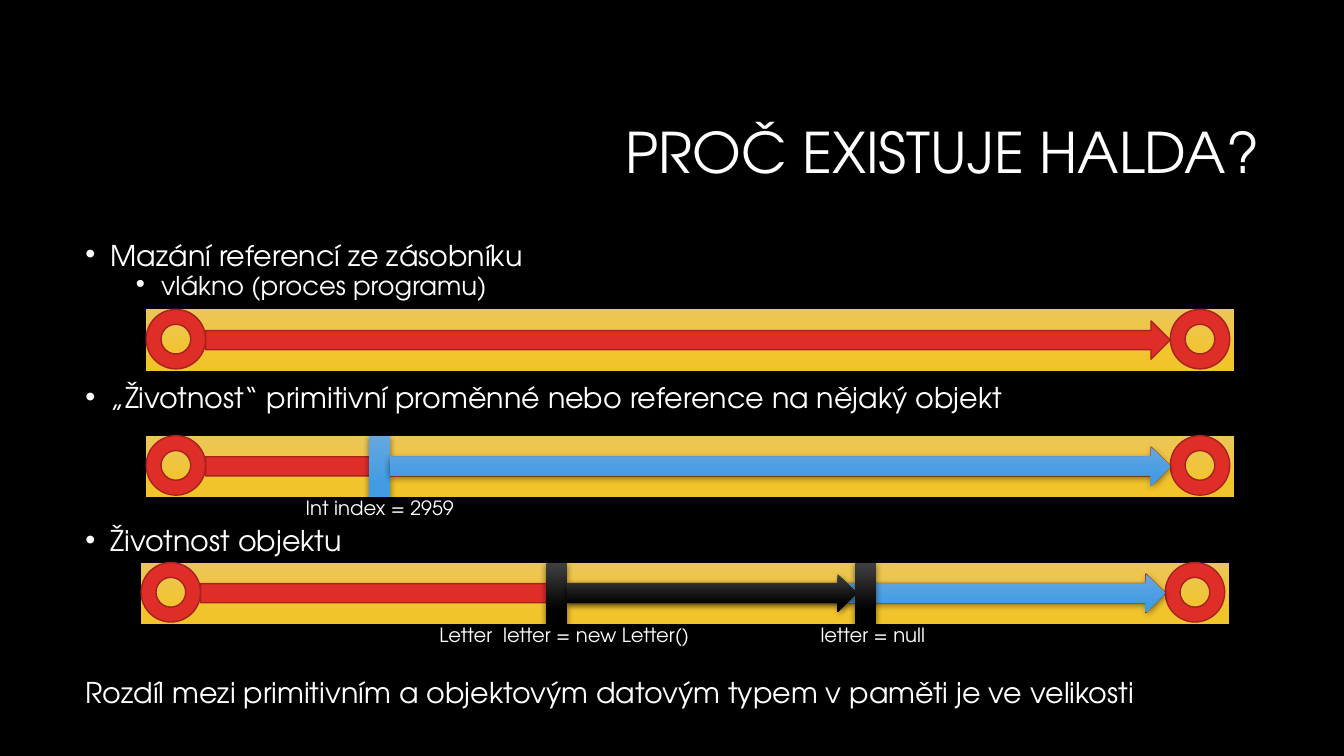
"""Builds the slide on why the heap exists, with three lifetime timelines."""
from lxml.etree import SubElement
from pptx import Presentation
from pptx.dml.color import RGBColor
from pptx.enum.shapes import MSO_SHAPE as SHAPE
from pptx.enum.text import MSO_ANCHOR as ANCHOR, PP_ALIGN as ALIGN
from pptx.oxml.ns import qn
from pptx.util import Pt

FONT = "TeX Gyre Adventor"
WHITE, BLACK, RED, DARK_RED = "FFFFFF", "000000", "DF2E28", "A5221E"
GOLD, BLUE, COAL = ("EBC659", "F2C42C"), ("66A7E0", "439CE3"), ("414141", "000000")

TITLE = "PROČ EXISTUJE HALDA?"
# text, size, space before, left margin, bulleted
BODY = [
    ("Mazání referencí ze zásobníku", 20.4, 10, 18, True),
    ("vlákno (proces programu)", 18.5, 5, 54, True),
    ("„Životnost“ primitivní proměnné nebo reference na nějaký objekt", 20.4, 64.3, 18, True),
    ("Životnost objektu", 20.4, 84.8, 18, True),
    ("Rozdíl mezi primitivním a objektovým datovým typem v paměti je ve velikosti",
     20.4, 91.4, 0, False),
]
BAR_W, BAR_H, RING, ARROW_H, TICK_W = 776.9, 43.9, 42.5, 27.4, 15.1
ARROW_DROP, ARROW_END = 8.2, 731.5
LABEL_DROP, LABEL_W, LABEL_H = 39.6, 196, 24.5
# left, top, parts in drawing order: ticks (x) and arrows (start, end)
LANES = [
    (104.4, 221, []),
    (104.4, 311.2, [("tick", BLUE, 159.1, 0), ("arrow", BLUE, 174.2, ARROW_END)]),
    (100.8, 401.8, [("tick", COAL, 289.4, 0), ("arrow", BLUE, 304.5, ARROW_END),
                    ("arrow", COAL, 304.5, 511.2), ("tick", COAL, 509.8, 0)]),
]
# text, centre, lane number
LABELS = [
    ("Int index = 2959", 271.4, 1),
    ("Letter  letter = new Letter()", 403.2, 2),
    ("letter = null", 623.5, 2),
]


def rgb(color):
    return RGBColor.from_string(color)


def style(p, size, align=ALIGN.LEFT):
    p.alignment = align
    for r in p.runs:
        r.font.size, r.font.name = Pt(size), FONT
        r.font.color.rgb = rgb(WHITE)


def text_box(slide, x, y, w, h):
    tf = slide.shapes.add_textbox(Pt(x), Pt(y), Pt(w), Pt(h)).text_frame
    tf.word_wrap = True
    return tf


def indent(p, left, bulleted):
    pPr = p._p.get_or_add_pPr()
    pPr.set("marL", str(Pt(left)))
    pPr.set("indent", str(Pt(-18 if bulleted else 0)))
    if bulleted:
        SubElement(pPr, qn("a:buFont"), typeface="Arial")
        SubElement(pPr, qn("a:buChar"), char="•")
    else:
        SubElement(pPr, qn("a:buNone"))


def add_shadow(sp):
    shadow = SubElement(sp._element.spPr.find(qn("a:effectLst")), qn("a:outerShdw"),
                        blurRad=str(Pt(4.5)), dist=str(Pt(1.5)), dir="5400000",
                        algn="ctr", rotWithShape="0")
    color = SubElement(shadow, qn("a:srgbClr"), val=BLACK)
    SubElement(color, qn("a:alpha"), val="48000")


def add_shape(slide, kind, x, y, w, h):
    sp = slide.shapes.add_shape(kind, Pt(x), Pt(y), Pt(w), Pt(h))
    sp.shadow.inherit = False
    return sp


def red_shape(slide, *place):
    sp = add_shape(slide, *place)
    sp.fill.solid()
    sp.fill.fore_color.rgb = rgb(RED)
    sp.line.color.rgb = rgb(DARK_RED)
    sp.line.width = Pt(1)


def glossy_shape(slide, colors, *place):
    sp = add_shape(slide, *place)
    sp.fill.gradient()
    sp.fill.gradient_angle = 270
    for stop, color, position in zip(sp.fill.gradient_stops, colors, (0, 0.78)):
        stop.color.rgb = rgb(color)
        stop.position = position
    sp.line.fill.background()
    add_shadow(sp)


def draw_lane(slide, left, top, parts):
    arrow_top = top + ARROW_DROP
    glossy_shape(slide, GOLD, SHAPE.FLOWCHART_PROCESS, left, top, BAR_W, BAR_H)
    red_shape(slide, SHAPE.DONUT, left, top, RING, RING)
    red_shape(slide, SHAPE.RIGHT_ARROW, left + RING, arrow_top, ARROW_END - RING, ARROW_H)
    red_shape(slide, SHAPE.DONUT, left + ARROW_END, top, RING, RING)
    for kind, colors, start, end in parts:
        if kind == "tick":
            glossy_shape(slide, colors, SHAPE.RECTANGLE, left + start, top, TICK_W, BAR_H)
        else:
            glossy_shape(slide, colors, SHAPE.RIGHT_ARROW,
                         left + start, arrow_top, end - start, ARROW_H)


def main():
    prs = Presentation()
    prs.slide_width, prs.slide_height = Pt(960), Pt(540)
    slide = prs.slides.add_slide(prs.slide_layouts[6])
    slide.background.fill.solid()
    slide.background.fill.fore_color.rgb = rgb(BLACK)

    tf = text_box(slide, 228.2, 60.5, 678.3, 101.5)
    tf.text = TITLE
    tf.vertical_anchor = ANCHOR.MIDDLE
    tf.paragraphs[0].line_spacing = 0.9
    style(tf.paragraphs[0], 40, ALIGN.RIGHT)

    tf = text_box(slide, 54, 172.8, 851.8, 341.3)
    for i, (text, size, before, left, bulleted) in enumerate(BODY):
        p = tf.add_paragraph() if i else tf.paragraphs[0]
        p.text = text
        p.line_spacing, p.space_before = 0.7, Pt(before)
        style(p, size)
        indent(p, left, bulleted)

    for lane in LANES:
        draw_lane(slide, *lane)
    for text, centre, lane in LABELS:
        tf = text_box(slide, centre - LABEL_W / 2, LANES[lane][1] + LABEL_DROP,
                      LABEL_W, LABEL_H)
        tf.text = text
        style(tf.paragraphs[0], 14, ALIGN.CENTER)
    prs.save("out.pptx")


if __name__ == "__main__":
    main()
